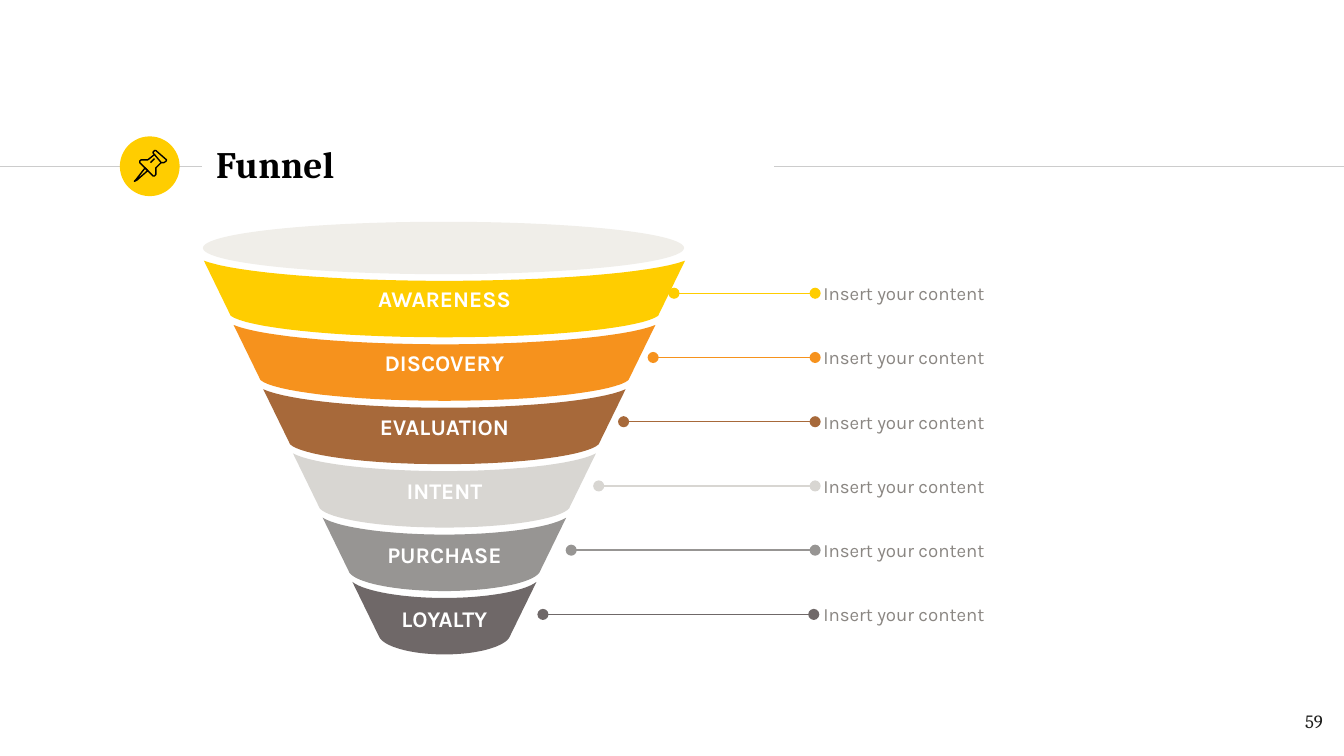
from dataclasses import dataclass

from lxml.etree import SubElement
from pptx import Presentation
from pptx.dml.color import RGBColor
from pptx.enum.shapes import MSO_CONNECTOR, MSO_SHAPE
from pptx.enum.text import MSO_ANCHOR, PP_ALIGN
from pptx.oxml.ns import qn
from pptx.util import Inches, Pt

# Grid: columns and rows are a tenth of an inch
CELL = Inches(0.1)
COLS, ROWS = 100, 56.25
MID = 33.07           # axis of the funnel
PITCH = 4.78          # rows from one stage to the next
STEPS = 16            # segments per curve
RULE = 12.4           # row of the title rule
GREY, BLACK, YELLOW = "CCCCCC", "000000", "FFCD00"

TITLE = {"name": "Cambria", "size": Pt(20), "bold": True}
NUMBER = {"name": "Cambria", "size": Pt(10)}
STAGE = {"name": "Karla", "size": Pt(12), "bold": True}
NOTE = {"name": "Karla", "size": Pt(10)}

Point = tuple[float, float]


@dataclass
class Stage:
    name: str
    color: str
    start: float      # column where the leader begins
    end: float = 60.65


STAGES = [
    Stage("AWARENESS", YELLOW, 50.15),
    Stage("DISCOVERY", "F6921D", 48.6),
    Stage("EVALUATION", "A7693A", 46.4),
    Stage("INTENT", "D8D6D2", 44.55),
    Stage("PURCHASE", "979593", 42.5),
    Stage("LOYALTY", "6F6868", 40.4, 60.55),
]

# Pushpin outlines: needle, cap, body, glint
PIN = [
    ([(10.8, 12.5), (10.1, 13.4), (10, 13.5), (10.2, 13.4), (11, 12.7)], True),
    ([(11.5, 11.5), (12, 12.1), (12.2, 12.1), (12.35, 12), (12.4, 11.9),
      (11.6, 11.2), (11.5, 11.2), (11.4, 11.3), (11.4, 11.4)], True),
    ([(11.5, 11.5), (11, 11.9), (10.8, 11.9), (10.5, 11.9), (10.4, 12),
      (10.4, 12.1), (11.4, 13.1), (11.5, 13.1), (11.6, 13), (11.6, 12.8),
      (11.6, 12.5), (12, 12.1)], False),
    ([(11.2, 12.1), (11.5, 11.8)], False),
]


def cell(n: float) -> int:
    return round(n * CELL)


def rgb(code: str) -> RGBColor:
    return RGBColor.from_string(code)


def write(shape, text: str, color: str, fmt: dict, align=PP_ALIGN.LEFT,
          anchor=MSO_ANCHOR.MIDDLE, pad: Point = (0, 0)) -> None:
    frame = shape.text_frame
    side, edge = map(cell, pad)
    layout = {"word_wrap": True, "vertical_anchor": anchor,
              "margin_left": side, "margin_right": side,
              "margin_top": edge, "margin_bottom": edge}
    for key, value in layout.items():
        setattr(frame, key, value)
    para = frame.paragraphs[0]
    para.alignment = align
    run = para.add_run()
    run.text = text
    for key, value in fmt.items():
        setattr(run.font, key, value)
    run.font.color.rgb = rgb(color)


def label(x: float, y: float, w: float, h: float, *args, **kwargs) -> None:
    write(shapes.add_textbox(*map(cell, (x, y, w, h))), *args, **kwargs)


def paint(shape, color: str) -> None:
    shape.shadow.inherit = False
    shape.fill.solid()
    shape.fill.fore_color.rgb = rgb(color)
    shape.line.fill.background()


def oval(x: float, y: float, w: float, h: float, color: str) -> None:
    paint(shapes.add_shape(MSO_SHAPE.OVAL, *map(cell, (x, y, w, h))), color)


def line(x1: float, x2: float, y: float, color: str, dots: bool = False) -> None:
    link = shapes.add_connector(MSO_CONNECTOR.STRAIGHT,
                                *map(cell, (x1, y, x2, y)))
    link.line.color.rgb = rgb(color)
    link.line.width = Pt(0.75)
    if dots:
        ln = link.line._get_or_add_ln()
        for tag in ("a:headEnd", "a:tailEnd"):
            SubElement(ln, qn(tag), type="oval")
    SubElement(link._element.spPr, qn("a:effectLst"))


def outline(points: list[Point], close: bool = True):
    first, *rest = [(cell(x), cell(y)) for x, y in points]
    pen = shapes.build_freeform(*first)
    pen.add_line_segments(rest, close=close)
    return pen.convert_to_shape()


def arc(half: float, rim: float, low: float, bend: tuple) -> list[Point]:
    """Sagging curve, left to right, mirrored about the funnel axis."""
    far, near, drop = bend
    left = []
    for i in range(STEPS + 1):
        t = i / STEPS
        s = 1 - t
        x = half * (s**3 + 3 * s * s * t * far + 3 * s * t * t * near)
        sag = 3 * s * s * t * drop + 3 * s * t * t + t**3
        left.append((MID - x, rim + (low - rim) * sag))
    return left + [(2 * MID - x, y) for x, y in left[-2::-1]]


def band(i: int, stage: Stage) -> None:
    top, low = 19.4 + PITCH * i, 25.1 + 4.72 * i
    half = 17.9 - 2.21 * i
    upper = arc(half, top, low - 4.2, (0.86, 0.42, 0.63))
    lower = arc(half - 2, top + 4.1, low, (0.93, 0.53, 0.53))
    shape = outline(lower + upper[::-1])
    paint(shape, stage.color)
    write(shape, stage.name, "FFFFFF", STAGE, PP_ALIGN.CENTER, pad=(0.7, 0.4))


deck = Presentation()
deck.slide_width, deck.slide_height = cell(COLS), cell(ROWS)
shapes = deck.slides.add_slide(deck.slide_layouts[6]).shapes

# Title row and page number
line(0, 15, RULE, GREY)
oval(8.92, 10.15, 4.45, 4.45, YELLOW)
line(57.6, COLS, RULE, GREY)
label(15.1, 9.8, 42.4, 4.8, "Funnel", BLACK, TITLE, pad=(1, 1))
label(93.4, 51.95, 6, 4.3, "59", "1D1D1B", NUMBER, PP_ALIGN.RIGHT,
      MSO_ANCHOR.TOP, (1, 1))

# Funnel with its rim, leaders and notes
oval(15.1, 16.5, 35.8, 3.9, "F0EEE9")
for i, stage in enumerate(STAGES):
    y = 21.82 + PITCH * i
    band(i, stage)
    line(stage.start, stage.end, y, stage.color, dots=True)
    label(61.27, y - 1.7, 27.7, 3.4, "Insert your content", "8A8682", NOTE)

# Pushpin icon
for points, close in PIN:
    part = outline(points, close)
    part.shadow.inherit = False
    part.fill.background()
    part.line.color.rgb = rgb(BLACK)
    part.line.width = Pt(0.75)

deck.save("out.pptx")
